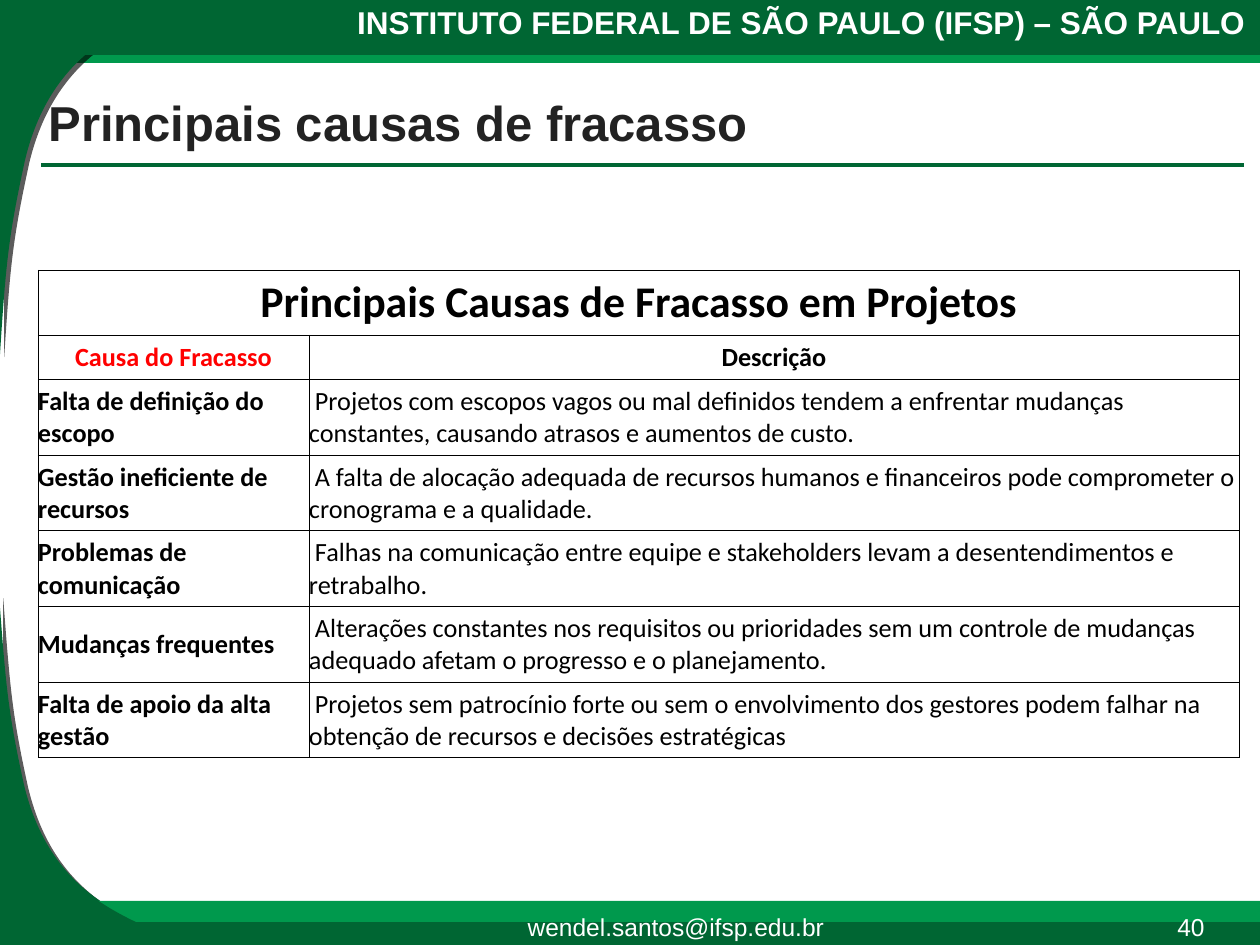
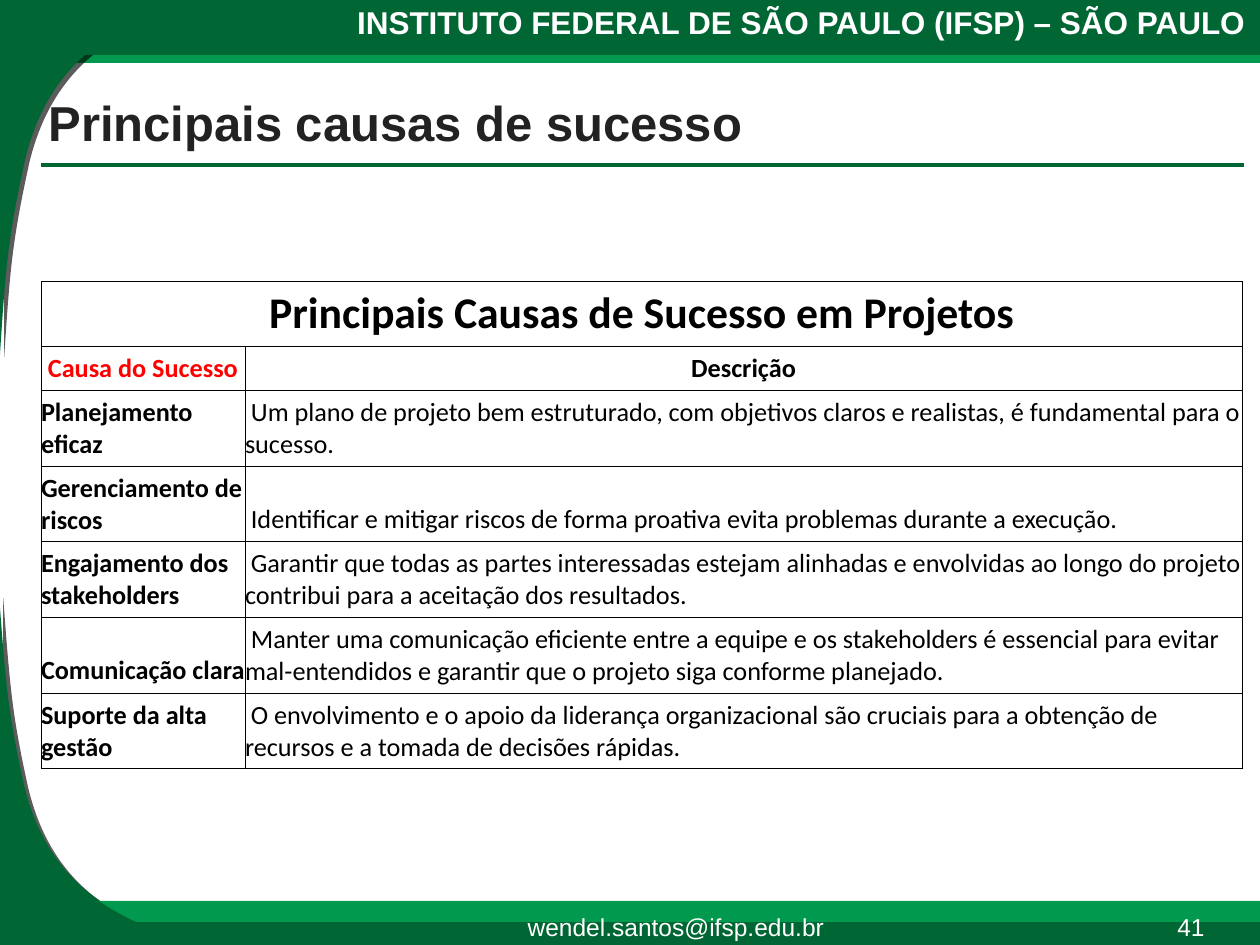
"""Two slides with tables on why projects fail and why they succeed."""
from lxml import etree
from pptx import Presentation
from pptx.dml.color import RGBColor
from pptx.enum.shapes import MSO_CONNECTOR, MSO_SHAPE
from pptx.enum.text import MSO_ANCHOR, PP_ALIGN
from pptx.oxml.ns import qn
from pptx.util import Emu, Pt

LEFT, CENTER, RIGHT = PP_ALIGN.LEFT, PP_ALIGN.CENTER, PP_ALIGN.RIGHT
MIDDLE, BOTTOM = MSO_ANCHOR.MIDDLE, MSO_ANCHOR.BOTTOM
RECTANGLE, STRAIGHT = MSO_SHAPE.RECTANGLE, MSO_CONNECTOR.STRAIGHT

DARK_GREEN = RGBColor(0x00, 0x66, 0x33)
LIGHT_GREEN = RGBColor(0x00, 0x99, 0x4D)
TITLE_GRAY = RGBColor(0x22, 0x22, 0x22)
BLACK = RGBColor(0x00, 0x00, 0x00)
WHITE = RGBColor(0xFF, 0xFF, 0xFF)
RED = RGBColor(0xFF, 0x00, 0x00)

EMU_PER_PX = 914400 / 126
WIDTH, HEIGHT = 1260, 945
BORDER_PT = 0.23

INSTITUTE = "INSTITUTO FEDERAL DE SÃO PAULO (IFSP) – SÃO PAULO"
EMAIL = "wendel.santos@ifsp.edu.br"

TOP_SWEEP = [(0, -3), (193, -3),
             (144, 21), (54, 39), (25, 160),
             (9, 234), (6, 260), (0, 354),
             (0, 236), (0, 115), (0, -3)]
BOTTOM_SWEEP = [(-1, 945), (192, 945),
                (142, 921), (53, 905), (24, 785),
                (8, 712), (6, 688), (-1, 595),
                (-1, 711), (-1, 829), (-1, 945)]
FOOTER_SWEEP = [(0, 945), (193, 945),
                (144, 927), (55, 897), (26, 809),
                (15, 780), (15, 756), (0, 688),
                (0, 772), (0, 861), (0, 945)]

SLIDES = [
    {
        "title": "Principais causas de fracasso",
        "number": "40",
        "heading": "Principais Causas de Fracasso em Projetos",
        "columns": ("Causa do Fracasso", "Descrição"),
        "causes": [
            ("Falta de definição do escopo",
             " Projetos com escopos vagos ou mal definidos tendem a enfrentar mudanças "
             "constantes, causando atrasos e aumentos de custo."),
            ("Gestão ineficiente de recursos",
             " A falta de alocação adequada de recursos humanos e financeiros pode "
             "comprometer o cronograma e a qualidade."),
            ("Problemas de comunicação",
             " Falhas na comunicação entre equipe e stakeholders levam a "
             "desentendimentos e retrabalho."),
            ("Mudanças frequentes",
             " Alterações constantes nos requisitos ou prioridades sem um controle de "
             "mudanças adequado afetam o progresso e o planejamento."),
            ("Falta de apoio da alta gestão",
             " Projetos sem patrocínio forte ou sem o envolvimento dos gestores podem "
             "falhar na obtenção de recursos e decisões estratégicas"),
        ],
        "corner": (38, 270),
        "widths": (271, 930),
        "heights": (53, 34, 68, 68, 64, 68, 68),
        "anchor": MIDDLE,
    },
    {
        "title": "Principais causas de sucesso",
        "number": "41",
        "heading": "Principais Causas de Sucesso em Projetos",
        "columns": ("Causa do Sucesso", "Descrição"),
        "causes": [
            ("Planejamento eficaz",
             " Um plano de projeto bem estruturado, com objetivos claros e realistas, é "
             "fundamental para o sucesso."),
            ("Gerenciamento de riscos",
             " Identificar e mitigar riscos de forma proativa evita problemas durante a "
             "execução."),
            ("Engajamento dos stakeholders",
             " Garantir que todas as partes interessadas estejam alinhadas e envolvidas "
             "ao longo do projeto contribui para a aceitação dos resultados."),
            ("Comunicação clara",
             " Manter uma comunicação eficiente entre a equipe e os stakeholders é "
             "essencial para evitar mal-entendidos e garantir que o projeto siga "
             "conforme planejado."),
            ("Suporte da alta gestão",
             " O envolvimento e o apoio da liderança organizacional são cruciais para a "
             "obtenção de recursos e a tomada de decisões rápidas."),
        ],
        "corner": (41, 281),
        "widths": (204, 997),
        "heights": (53, 33, 64, 64, 64, 64, 64),
        "anchor": BOTTOM,
    },
]


def px(length):
    return Emu(round(length * EMU_PER_PX))


def paint(shape, color):
    shape.shadow.inherit = False
    shape.fill.solid()
    shape.fill.fore_color.rgb = color
    shape.line.fill.background()


def write(frame, text, size, color, bold=False, align=LEFT, font="Arial"):
    paragraph = frame.paragraphs[0]
    paragraph.alignment = align
    run = paragraph.add_run()
    run.text = text
    run.font.name = font
    run.font.size = Pt(size)
    run.font.bold = bold
    run.font.color.rgb = color


def add_label(slide, box, text, size, color, bold=False, align=LEFT):
    frame = slide.shapes.add_textbox(*map(px, box)).text_frame
    frame.word_wrap = True
    write(frame, text, size, color, bold, align)


def add_band(slide, left, top, height, color):
    band = slide.shapes.add_shape(
        RECTANGLE, px(left), px(top), px(WIDTH - left), px(height))
    paint(band, color)


def bend(outline_shape):
    """Turn each three segments after the straight edge into one curve."""
    segments = list(outline_shape.element.iter(qn("a:lnTo")))[1:]
    for first in range(0, len(segments), 3):
        curve = etree.Element(qn("a:cubicBezTo"))
        segments[first].addprevious(curve)
        for segment in segments[first:first + 3]:
            curve.append(segment[0])
            segment.getparent().remove(segment)


def add_sweep(slide, outline, shadowed):
    start, *points = [(px(x), px(y)) for x, y in outline]
    builder = slide.shapes.build_freeform(*start)
    builder.add_line_segments(points, close=True)
    sweep = builder.convert_to_shape()
    bend(sweep)
    paint(sweep, DARK_GREEN)
    if shadowed:
        effects = sweep.element.spPr.find(qn("a:effectLst"))
        shadow = etree.SubElement(effects, qn("a:outerShdw"), blurRad="0",
                                  dist=str(Pt(3)), dir=str(36 * 60000),
                                  algn="ctr", rotWithShape="0")
        black = etree.SubElement(shadow, qn("a:srgbClr"), val=str(BLACK))
        etree.SubElement(black, qn("a:alpha"), val="63000")


def add_frame(slide, title, number):
    add_sweep(slide, BOTTOM_SWEEP, True)
    add_band(slide, 44, 42, 21, LIGHT_GREEN)
    add_sweep(slide, TOP_SWEEP, True)
    add_band(slide, 0, -3, 58, DARK_GREEN)
    add_label(slide, (273, -3, 985, 50), INSTITUTE, 18, WHITE, True, RIGHT)
    add_band(slide, 0, 910, 35, DARK_GREEN)
    add_band(slide, 44, 901, 21, LIGHT_GREEN)
    add_sweep(slide, FOOTER_SWEEP, False)
    add_label(slide, (305, 906, 742, 39), EMAIL, 14, WHITE, align=CENTER)
    add_label(slide, (1057, 906, 160, 39), number, 14, WHITE, align=RIGHT)
    add_label(slide, (36, 86, 1189, 72), title, 28, TITLE_GRAY, True)
    rule = slide.shapes.add_connector(STRAIGHT, px(43), px(165), px(1242), px(165))
    rule.line.color.rgb = DARK_GREEN
    rule.line.width = Pt(2.25)
    rule.element.spPr.find(qn("a:ln")).set("cap", "sq")
    etree.SubElement(rule.element.spPr, qn("a:effectLst"))


def style_cell(cell, anchor):
    cell.margin_left = cell.margin_right = 0
    cell.vertical_anchor = anchor
    properties = cell._tc.get_or_add_tcPr()
    for side in ("a:lnL", "a:lnR", "a:lnT", "a:lnB"):
        border = etree.SubElement(properties, qn(side), w=str(Pt(BORDER_PT)))
        fill = etree.SubElement(border, qn("a:solidFill"))
        etree.SubElement(fill, qn("a:srgbClr"), val=str(BLACK))
    cell.fill.background()


def add_causes(slide, content):
    widths, heights = content["widths"], content["heights"]
    left, top = content["corner"]
    table = slide.shapes.add_table(
        len(heights), len(widths), px(left), px(top),
        px(sum(widths)), px(sum(heights))).table
    table.first_row = table.horz_banding = False
    for column, width in zip(table.columns, widths):
        column.width = px(width)
    for row, height in zip(table.rows, heights):
        row.height = px(height)

    for index, row in enumerate(table.rows):
        for cell in row.cells:
            style_cell(cell, BOTTOM if index < 2 else content["anchor"])
    heading = table.cell(0, 0)
    heading.merge(table.cell(0, 1))
    write(heading.text_frame, content["heading"], 25, BLACK, True, CENTER, "Calibri")
    for column, (name, color) in enumerate(zip(content["columns"], (RED, BLACK))):
        write(table.cell(1, column).text_frame, name, 15, color, True, CENTER, "Calibri")
    for row, cause in enumerate(content["causes"], start=2):
        for column, text in enumerate(cause):
            write(table.cell(row, column).text_frame, text, 15, BLACK,
                  column == 0, font="Calibri")


def main():
    deck = Presentation()
    deck.slide_width, deck.slide_height = px(WIDTH), px(HEIGHT)
    blank = deck.slide_layouts[6]
    for content in SLIDES:
        slide = deck.slides.add_slide(blank)
        add_frame(slide, content["title"], content["number"])
        add_causes(slide, content)
    deck.save("out.pptx")


if __name__ == "__main__":
    main()
